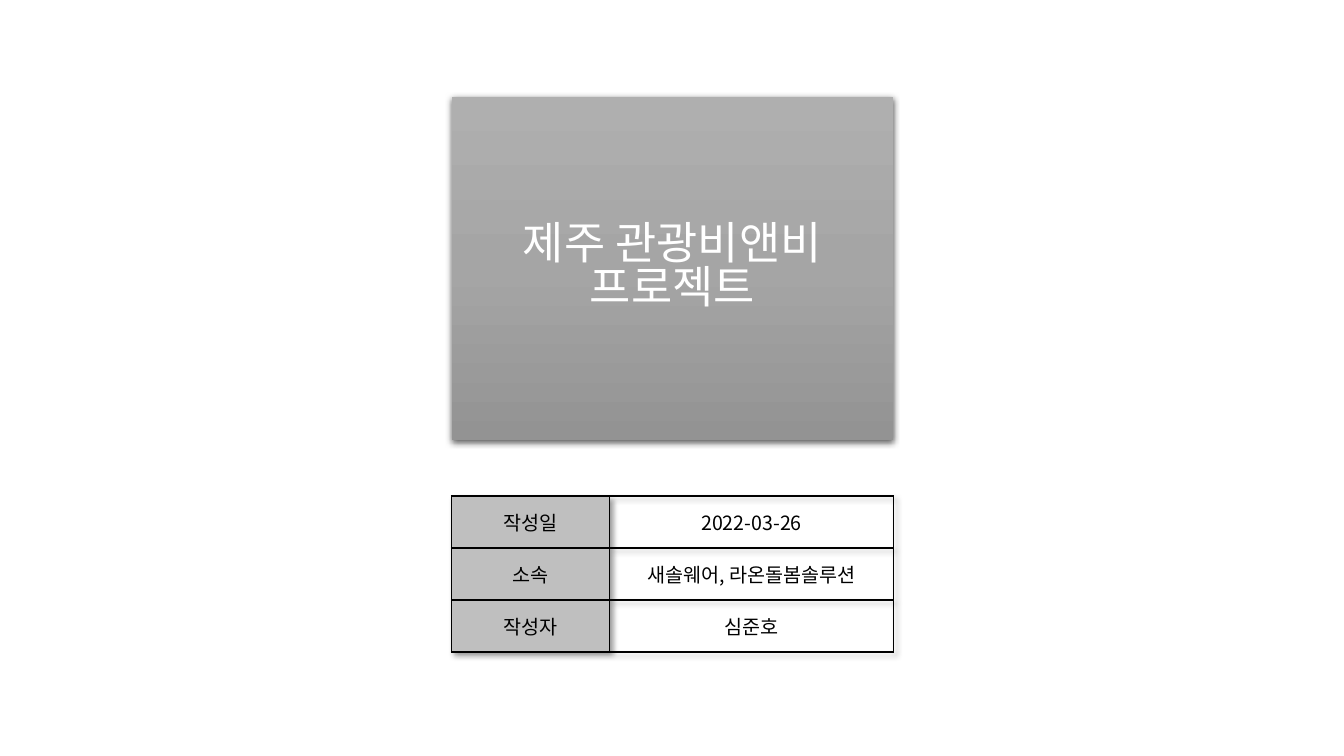
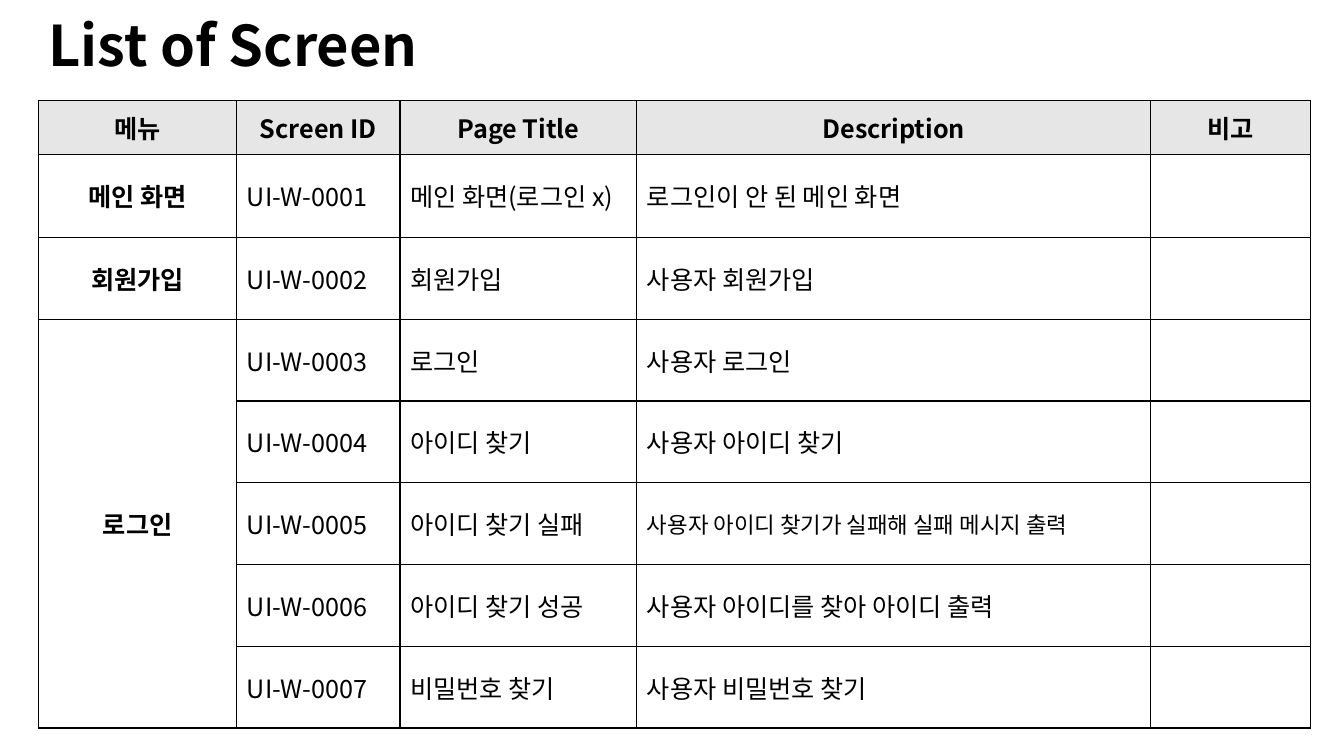
from pptx import Presentation
from pptx.dml.color import RGBColor
from pptx.enum.text import MSO_ANCHOR, MSO_AUTO_SIZE, PP_ALIGN
from pptx.oxml import parse_xml
from pptx.oxml.ns import nsdecls
from pptx.util import Cm, Pt

FONT = "Noto Sans CJK KR"
BLACK = RGBColor(0x00, 0x00, 0x00)
WHITE = RGBColor(0xFF, 0xFF, 0xFF)
LABEL_GRAY = RGBColor(0xBF, 0xBF, 0xBF)
HEADER_GRAY = RGBColor(0xE7, 0xE6, 0xE6)
COVER_GRADIENT = ((0, RGBColor(0xAF, 0xAF, 0xAF)),
                  (50, RGBColor(0xA5, 0xA5, 0xA5)),
                  (100, RGBColor(0x93, 0x93, 0x93)))

LEFT, CENTER = PP_ALIGN.LEFT, PP_ALIGN.CENTER
TOP, MIDDLE = MSO_ANCHOR.TOP, MSO_ANCHOR.MIDDLE
NO_AUTOFIT = MSO_AUTO_SIZE.NONE
TITLE_ONLY = 5

DOCUMENT_FACTS = (
    ("작성일", "2022-03-26"),
    ("소속", "새솔웨어, 라온돌봄솔루션"),
    ("작성자", "심준호"),
)
SCREEN_HEADER = ("메뉴", "Screen ID", "Page Title", "Description", "비고")
SCREENS_BY_MENU = (
    ("메인 화면", (("메인 화면(로그인 x)", "로그인이 안 된 메인 화면"),)),
    ("회원가입", (("회원가입", "사용자 회원가입"),)),
    ("로그인", (
        ("로그인", "사용자 로그인"),
        ("아이디 찾기", "사용자 아이디 찾기"),
        ("아이디 찾기 실패", "사용자 아이디 찾기가 실패해 실패 메시지 출력"),
        ("아이디 찾기 성공", "사용자 아이디를 찾아 아이디 출력"),
        ("비밀번호 찾기", "사용자 비밀번호 찾기"),
    )),
)
LONG_DESCRIPTION = 22


def write(frame, text, size, color=BLACK, bold=False, align=LEFT, spacing=None):
    """Fill a text frame, one paragraph for each line of text."""
    for index, line in enumerate(text.split("\n")):
        paragraph = frame.paragraphs[0] if index == 0 else frame.add_paragraph()
        paragraph.alignment = align
        if spacing:
            paragraph.line_spacing = spacing
        run = paragraph.add_run()
        run.text = line
        run.font.size = Pt(size)
        run.font.bold = bold
        run.font.color.rgb = color
        run.font.name = FONT
        run.font._element.append(
            parse_xml(f'<a:ea {nsdecls("a")} typeface="{FONT}"/>'))


def shadow_effect(blur, distance, angle, opacity):
    return parse_xml(
        f'<a:effectLst {nsdecls("a")}><a:outerShdw blurRad="{Pt(blur)}" '
        f'dist="{Pt(distance)}" dir="{angle * 60000}" algn="ctr" rotWithShape="0">'
        f'<a:srgbClr val="{BLACK}"><a:alpha val="{opacity * 1000}"/></a:srgbClr>'
        '</a:outerShdw></a:effectLst>')


def gradient_fill(stops, angle):
    stop_xml = "".join(f'<a:gs pos="{position * 1000}"><a:srgbClr val="{color}"/></a:gs>'
                       for position, color in stops)
    return parse_xml(f'<a:gradFill {nsdecls("a")} rotWithShape="1"><a:gsLst>{stop_xml}'
                     f'</a:gsLst><a:lin ang="{angle * 60000}" scaled="0"/></a:gradFill>')


def place_title(slide, box, text, anchor, **text_format):
    title = slide.shapes.title
    title.left, title.top, title.width, title.height = box
    frame = title.text_frame
    frame.word_wrap = True
    frame.auto_size = NO_AUTOFIT
    frame.vertical_anchor = anchor
    write(frame, text, **text_format)
    return title


def add_grid(slide, left, top, widths, heights):
    """Add a plain table with the given column widths and row heights."""
    table = slide.shapes.add_table(len(heights), len(widths), left, top,
                                   sum(widths), sum(heights)).table
    table.first_row = table.horz_banding = False
    for column, width in zip(table.columns, widths):
        column.width = width
    for row, height in zip(table.rows, heights):
        row.height = height
    return table


def format_cell(cell, text, fill=None, **text_format):
    properties = cell._tc.get_or_add_tcPr()
    for side in ("lnL", "lnR", "lnT", "lnB"):
        properties.append(parse_xml(
            f'<a:{side} {nsdecls("a")} w="{Pt(1)}"><a:solidFill>'
            f'<a:srgbClr val="{BLACK}"/></a:solidFill></a:{side}>'))
    if fill is None:
        cell.fill.background()
    else:
        cell.fill.solid()
        cell.fill.fore_color.rgb = fill
    cell.vertical_anchor = MIDDLE
    if text:
        write(cell.text_frame, text, **text_format)


def add_facts_table(slide, left, top, width):
    label_width = Cm(3.99)
    table = add_grid(slide, left, top, (label_width, width - label_width),
                     [Cm(1.31)] * len(DOCUMENT_FACTS))
    table._tbl.tblPr.insert(0, shadow_effect(4, 3, 45, 40))
    for row, (label, value) in enumerate(DOCUMENT_FACTS):
        format_cell(table.cell(row, 0), label, LABEL_GRAY, size=14, align=CENTER)
        format_cell(table.cell(row, 1), value, size=14, align=CENTER)


def add_screen_table(slide, left, top):
    screen_count = sum(len(screens) for _, screens in SCREENS_BY_MENU)
    widths = [Cm(width) for width in (5, 4.11, 5.97, 12.95, 4.02)]
    table = add_grid(slide, left, top, widths,
                     [Cm(1.35)] + [Cm(2.06)] * screen_count)
    for column, heading in enumerate(SCREEN_HEADER):
        format_cell(table.cell(0, column), heading, HEADER_GRAY,
                    size=18, bold=True, align=CENTER)
    row = 1
    for menu, screens in SCREENS_BY_MENU:
        first_row = row
        for page_title, description in screens:
            format_cell(table.cell(row, 0), menu if row == first_row else "", WHITE,
                        size=18, bold=True, align=CENTER)
            values = (f"UI-W-{row:04}", page_title, description, "")
            for column, value in enumerate(values, start=1):
                size = 16 if len(value) > LONG_DESCRIPTION else 18
                format_cell(table.cell(row, column), value, WHITE, size=size)
            row += 1
        if len(screens) > 1:
            table.cell(first_row, 0).merge(table.cell(row - 1, 0))


def build_cover(slide):
    left, width = Cm(11.38), Cm(11.13)
    title = place_title(slide, (left, Cm(2.44), width, Cm(8.64)),
                        "제주 관광비앤비\n프로젝트", MIDDLE,
                        size=32, color=WHITE, align=CENTER, spacing=0.82)
    panel = title._element.spPr
    panel.append(gradient_fill(COVER_GRADIENT, 90))
    panel.append(shadow_effect(4.5, 1.5, 90, 63))
    add_facts_table(slide, left, Cm(12.5), width)


def build_screen_list(slide):
    left = Cm(0.97)
    place_title(slide, (left, Cm(0.38), Cm(11.28), Cm(1.96)), "List of Screen", TOP,
                size=40, bold=True, spacing=0.87)
    add_screen_table(slide, left, Cm(2.54))


def main():
    deck = Presentation()
    deck.slide_width, deck.slide_height = Cm(33.87), Cm(19.05)
    for build in (build_cover, build_screen_list):
        build(deck.slides.add_slide(deck.slide_layouts[TITLE_ONLY]))
    deck.save("out.pptx")


if __name__ == "__main__":
    main()
